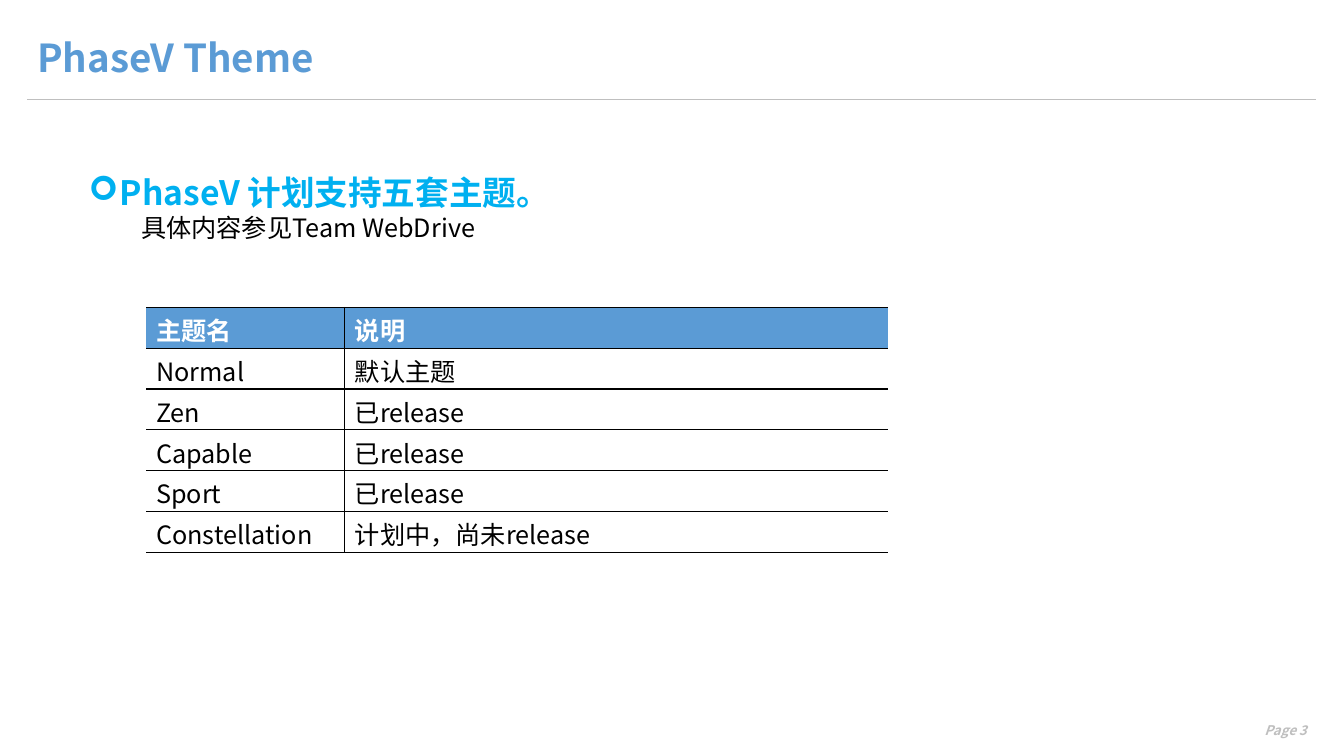
from pptx import Presentation
from pptx.dml.color import RGBColor
from pptx.enum.shapes import MSO_CONNECTOR
from pptx.enum.text import MSO_ANCHOR, MSO_AUTO_SIZE, PP_ALIGN
from pptx.oxml.ns import qn
from pptx.util import Inches, Pt
from lxml import etree

LINE = MSO_CONNECTOR.STRAIGHT
TOP, MIDDLE = MSO_ANCHOR.TOP, MSO_ANCHOR.MIDDLE
LEFT, RIGHT = PP_ALIGN.LEFT, PP_ALIGN.RIGHT
NO_FIT = MSO_AUTO_SIZE.NONE
FACE = "Noto Sans CJK SC"
COLORS = {"blue": "5B9BD5", "sky": "00B0F0", "gray": "BFBFBF",
          "black": "000000", "white": "FFFFFF"}
THEMES = [
    ("主题名", "说明"),
    ("Normal", "默认主题"),
    ("Zen", "已release"),
    ("Capable", "已release"),
    ("Sport", "已release"),
    ("Constellation", "计划中，尚未release"),
]


def color(name):
    return RGBColor.from_string(COLORS[name])


def style(para, size, tint, bold=False, italic=False):
    for run in para.runs:
        font = run.font
        font.size, font.bold, font.italic = Pt(size), bold, italic
        font.color.rgb = color(tint)
        font.name = FACE
        etree.SubElement(font._element, qn("a:ea"), typeface=FACE)


def place(shape, box):
    shape.left, shape.top, shape.width, shape.height = map(Inches, box)


def add_title(slide, box):
    title = slide.shapes.title
    place(title, box)
    frame = title.text_frame
    frame.text = "PhaseV Theme"
    frame.auto_size = NO_FIT
    frame.vertical_anchor = MIDDLE
    para = frame.paragraphs[0]
    para.alignment = LEFT
    para.line_spacing = 0.9
    style(para, 27.5, "blue", bold=True)


def add_rule(slide, left, right, y):
    rule = slide.shapes.add_connector(
        LINE, Inches(left), Inches(y), Inches(right), Inches(y))
    rule.line.color.rgb = color("gray")
    rule.line.width = Pt(0.5)
    etree.SubElement(rule._element.spPr, qn("a:effectLst"))


def indent(para, left, first, mark=None):
    props = para._p.get_or_add_pPr()
    props.set("marL", str(Inches(left)))
    props.set("indent", str(Inches(first)))
    if mark:
        etree.SubElement(props, qn("a:buFont"), typeface="Wingdings")
        etree.SubElement(props, qn("a:buChar"), char=mark)
    else:
        etree.SubElement(props, qn("a:buNone"))


def add_intro(slide, box):
    body = slide.placeholders[1]
    place(body, box)
    frame = body.text_frame
    frame.text = "PhaseV 计划支持五套主题。\n具体内容参见Team WebDrive"
    frame.auto_size = NO_FIT
    frame.vertical_anchor = TOP
    head, note = frame.paragraphs
    indent(head, 0.31, -0.31, "➢")
    indent(note, 0.52, 0)
    for para in (head, note):
        para.alignment = LEFT
        para.space_before = Pt(0)
        para.line_spacing = 1.0
    style(head, 24, "sky", bold=True)
    style(note, 18, "black")


def add_edges(cell, sides):
    props = cell._tc.get_or_add_tcPr()
    for side in "LRTB":
        edge = etree.SubElement(props, qn("a:ln" + side), w=str(Pt(1)))
        if side in sides:
            fill = etree.SubElement(edge, qn("a:solidFill"))
            etree.SubElement(fill, qn("a:srgbClr"), val=COLORS["black"])
        else:
            etree.SubElement(edge, qn("a:noFill"))


def add_themes(slide, box):
    left, top, width, height = map(Inches, box)
    table = slide.shapes.add_table(
        len(THEMES), 2, left, top, width, height).table
    table.horz_banding = False
    table.columns[0].width = Inches(1.97)
    table.columns[1].width = width - Inches(1.97)
    for r, texts in enumerate(THEMES):
        for c, text in enumerate(texts):
            cell = table.cell(r, c)
            cell.text = text
            cell.margin_top, cell.margin_bottom = Inches(0.04), 0
            add_edges(cell, "LTB" if c else "RTB")
            if r == 0:
                cell.fill.solid()
                cell.fill.fore_color.rgb = color("blue")
            else:
                cell.fill.background()
            style(cell.text_frame.paragraphs[0], 18,
                  "black" if r else "white", bold=r == 0)


def add_page(slide, box):
    frame = slide.shapes.add_textbox(*map(Inches, box)).text_frame
    frame.word_wrap = True
    frame.text = "Page 3"
    para = frame.paragraphs[0]
    para.alignment = RIGHT
    style(para, 9.5, "gray", bold=True, italic=True)


def main():
    deck = Presentation()
    deck.slide_width, deck.slide_height = Inches(13.33), Inches(7.5)
    slide = deck.slides.add_slide(deck.slide_layouts[1])
    add_rule(slide, 0.27, 13.05, 0.99)
    add_page(slide, (10.53, 7.12, 2.53, 0.25))
    add_title(slide, (0.27, 0.28, 7.56, 0.64))
    add_intro(slide, (0.78, 1.66, 4.85, 0.91))
    add_themes(slide, (1.45, 3.05, 7.36, 2.43))
    deck.save("out.pptx")


if __name__ == "__main__":
    main()
